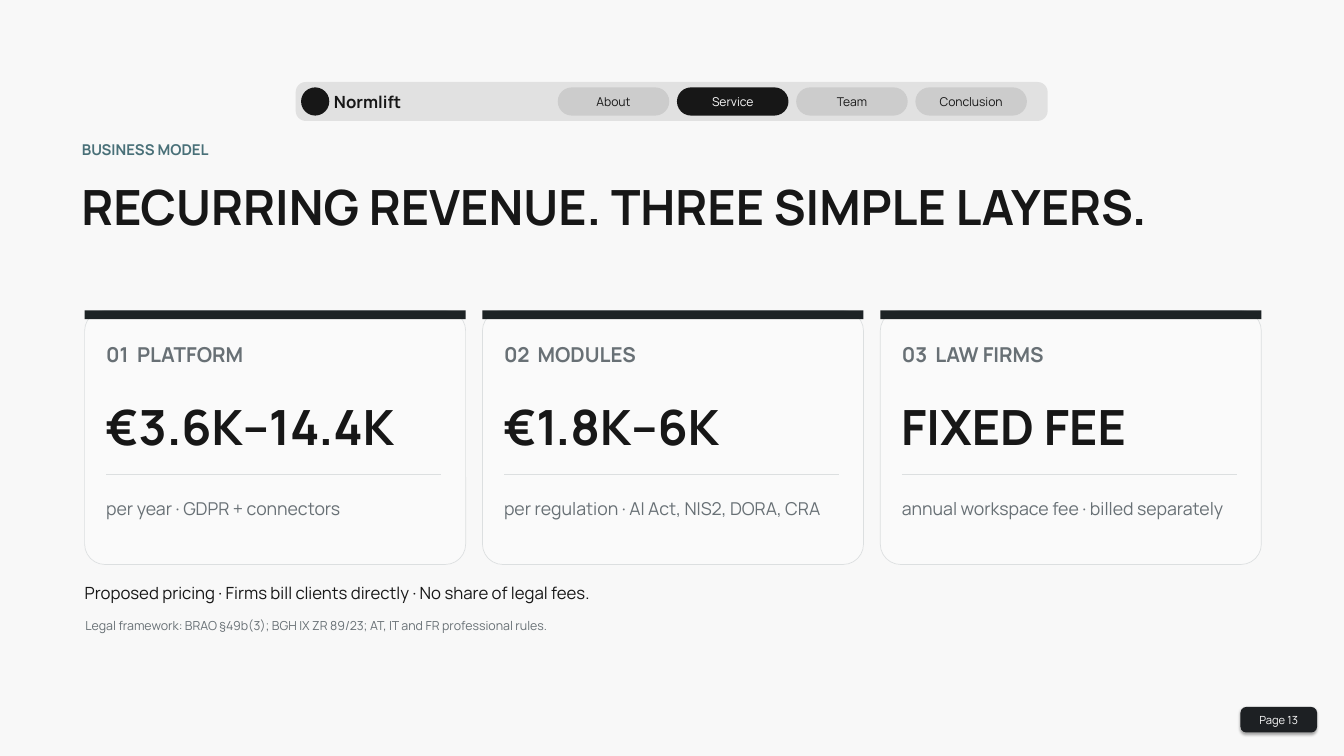
from lxml import etree
from pptx import Presentation
from pptx import util as u
from pptx.dml.color import RGBColor
from pptx.enum import shapes, text
from pptx.oxml import parse_xml
from pptx.oxml.ns import nsdecls, qn

INK, GREY, RULE, PAPER = "171717", "687075", "DCDFE0", "FAFAFA"
RECT = shapes.MSO_SHAPE.RECTANGLE
ROUND = shapes.MSO_SHAPE.ROUNDED_RECTANGLE
OVAL = shapes.MSO_SHAPE.OVAL
rgb = RGBColor.from_string

prs = Presentation()
prs.slide_width, prs.slide_height = u.Inches(20), u.Inches(11.25)
s = prs.slides.add_slide(prs.slide_layouts[6])
s.background.fill.solid()
s.background.fill.fore_color.rgb = rgb("F8F8F8")


def add_box(kind, x, y, w, h, fill, radius=None, line=None):
    sp = s.shapes.add_shape(kind, u.Inches(x), u.Inches(y), u.Inches(w), u.Inches(h))
    sp.shadow.inherit = False
    sp.fill.solid()
    sp.fill.fore_color.rgb = rgb(fill)
    if radius is not None:
        sp.adjustments[0] = radius
    if line:
        sp.line.color.rgb = rgb(line)
        sp.line.width = u.Pt(0.75)
    else:
        sp.line.fill.background()
    return sp


def add_text(words, size, color, at=None, sp=None, bold=False, spacing=1.06, wrap=True):
    if sp is None:
        sp = s.shapes.add_textbox(*[u.Inches(v) for v in at])
    tf = sp.text_frame
    tf.margin_left = tf.margin_right = tf.margin_top = tf.margin_bottom = 0
    tf.word_wrap = wrap
    p = tf.paragraphs[0]
    p.text = words
    p.line_spacing = spacing
    r = p.runs[0]
    r.font.name, r.font.size, r.font.bold = "Manrope", u.Pt(size), bold
    r.font.color.rgb = rgb(color)
    if at is None:
        tf.vertical_anchor = text.MSO_ANCHOR.MIDDLE
        p.alignment = text.PP_ALIGN.CENTER
    return p


add_box(ROUND, 4.4, 1.22, 11.19, 0.58, "E1E1E1", 0.26)
add_box(OVAL, 4.48, 1.3, 0.42, 0.42, INK)
add_text("Normlift", 18, INK, (4.97, 1.32, 2.26, 0.34), bold=True, spacing=u.Pt(25.2))

for i, name in enumerate(["About", "Service", "Team", "Conclusion"]):
    active = name == "Service"
    sp = add_box(ROUND, 8.3 + i * 1.774, 1.3, 1.66, 0.42, INK if active else "CCCCCC", 0.5)
    add_text(name, 13, PAPER if active else INK, sp=sp, spacing=1.0, wrap=False)

add_text("BUSINESS MODEL", 16, "497078", (1.22, 2.08, 12, 0.33), bold=True)
add_text("RECURRING REVENUE. THREE SIMPLE LAYERS.", 52, INK,
         (1.21, 2.58, 17.56, 1.07), bold=True, wrap=False)

cards = [
    ("01\tPLATFORM", "€3.6K–14.4K", "per year · GDPR + connectors"),
    ("02\tMODULES", "€1.8K–6K", "per regulation · AI Act, NIS2, DORA, CRA"),
    ("03\tLAW FIRMS", "FIXED FEE", "annual workspace fee · billed separately"),
]
for i, (layer, price, detail) in enumerate(cards):
    x = 1.26 + i * 5.92
    add_box(ROUND, x, 4.62, 5.67, 3.78, PAPER, 0.08, RULE)
    add_box(RECT, x, 4.62, 5.67, 0.13, "1D2325")
    p = add_text(layer, 22, GREY, (x + 0.32, 5.07, 5.05, 0.47), bold=True)
    tabs = etree.SubElement(p._p.get_or_add_pPr(), qn("a:tabLst"))
    etree.SubElement(tabs, qn("a:tab"), pos=str(u.Inches(0.46 if i == 0 else 0.5)), algn="l")
    add_text(price, 52, INK, (x + 0.31, 5.86, 5.07, 0.91), bold=True)
    rule = s.shapes.add_connector(shapes.MSO_CONNECTOR.STRAIGHT, u.Inches(x + 0.32),
                                  u.Inches(7.06), u.Inches(x + 5.31), u.Inches(7.06))
    rule.line.color.rgb = rgb(RULE)
    rule.line.width = u.Pt(1)
    etree.SubElement(rule._element.spPr, qn("a:effectLst"))
    add_text(detail, 19, GREY, (x + 0.32, 7.39, 5.01, 0.74))

add_text("Proposed pricing · Firms bill clients directly · No share of legal fees.",
         18, INK, (1.26, 8.66, 17.3, 0.45))
add_text("Legal framework: BRAO §49b(3); BGH IX ZR 89/23; AT, IT and FR professional rules.",
         13.3, GREY, (1.27, 9.18, 17.2, 0.3))

sp = add_box(ROUND, 18.46, 10.52, 1.14, 0.38, "1D2023", 0.23)
add_text("Page 13", 12, "FBFBFB", sp=sp, spacing=1.0, wrap=False)
sp._element.spPr.find(qn("a:effectLst")).append(parse_xml(
    f'<a:outerShdw {nsdecls("a")} blurRad="{u.Pt(3.1)}" dist="{u.Pt(1.8)}" dir="5400000" '
    'algn="ctr" rotWithShape="0"><a:srgbClr val="000000"><a:alpha val="35000"/>'
    '</a:srgbClr></a:outerShdw>'))

prs.save("out.pptx")
